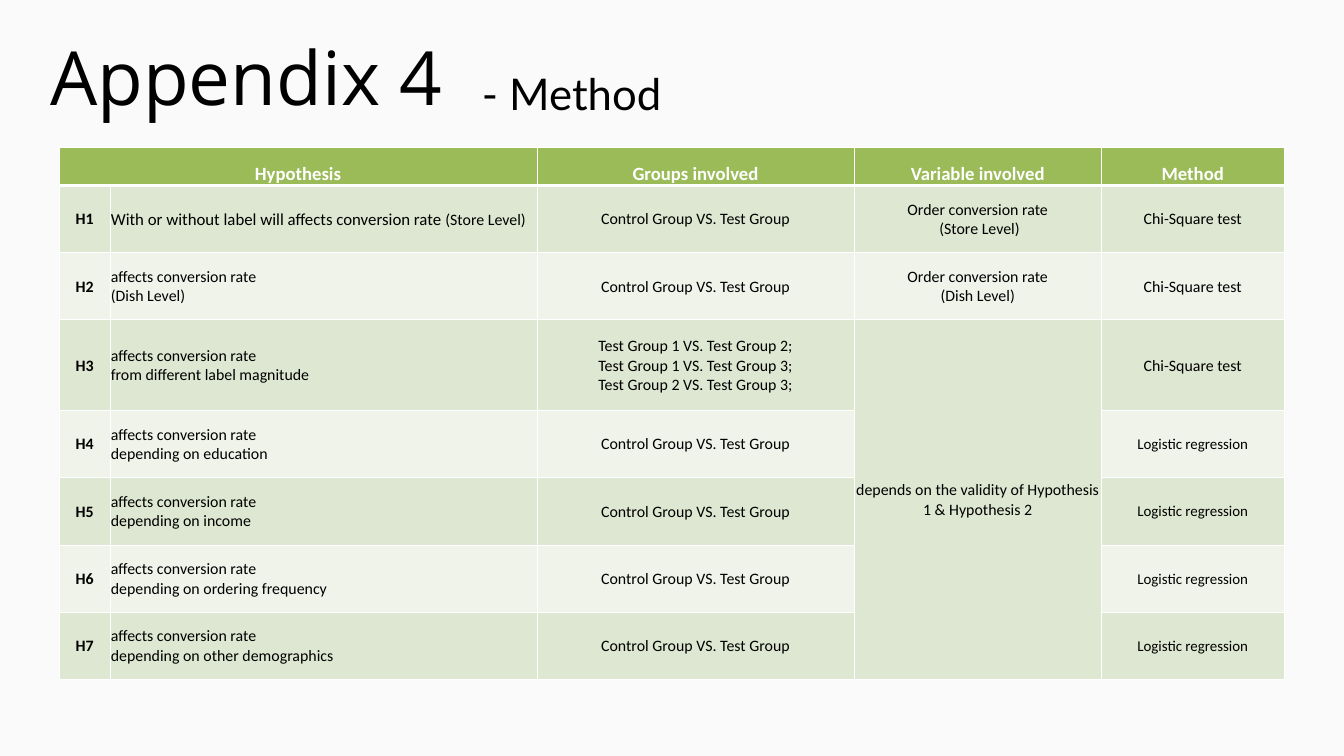
from typing import NamedTuple

from lxml import etree
from pptx import Presentation
from pptx.dml.color import RGBColor
from pptx.enum import text as t
from pptx.oxml import ns
from pptx.util import Inches, Pt

PAPER = RGBColor(0xFA, 0xFA, 0xFA)
BLACK = RGBColor(0, 0, 0)
WHITE = RGBColor(0xFF, 0xFF, 0xFF)
GREEN = RGBColor(0x9B, 0xBB, 0x59)
BANDS = (RGBColor(0xEF, 0xF3, 0xEA), RGBColor(0xDE, 0xE7, 0xD1))
LEFT, MID = t.PP_ALIGN.LEFT, t.PP_ALIGN.CENTER

WIDTHS = (0.76, 6.35, 4.72, 3.68, 2.72)
HEIGHTS = (0.56, 1, 1, 1.35, 1, 1, 1, 1)
HEADS = ("Hypothesis", "", "Groups involved", "Variable involved", "Method")


class Title(NamedTuple):
    text: str
    box: tuple[float, float, float, float]
    font: str
    size: float
    lead: float


class Claim(NamedTuple):
    """One hypothesis row; a line break starts a new paragraph."""
    claim: str
    method: str
    var: str = ""
    groups: str = "Control Group VS. Test Group"


CHI, LOGIT = "Chi-Square test", "Logistic regression"
RATE = "affects conversion rate\n"
TRIALS = "\n".join(f"Test Group {a} VS. Test Group {b};"
                   for a, b in ((1, 2), (1, 3), (2, 3)))

TITLES = (
    Title("Appendix 4", (0.75, 0.46, 17.58, 1.33), "Open Sans", 80, 96),
    Title("- Method", (7.17, 0.87, 6.24, 0.86), "Lato", 46.8, 65.5),
)
CLAIMS = (
    Claim("With or without label will affects conversion rate ", CHI,
          "Order conversion rate\n (Store Level)"),
    Claim(RATE + "(Dish Level)", CHI, "Order conversion rate\n(Dish Level)"),
    Claim(RATE + "from different label magnitude", CHI,
          "depends on the validity of Hypothesis 1 & Hypothesis 2", TRIALS),
    Claim(RATE + "depending on education", LOGIT),
    Claim(RATE + "depending on income", LOGIT),
    Claim(RATE + "depending on ordering frequency", LOGIT),
    Claim(RATE + "depending on other demographics", LOGIT),
)


def write(frame, text: str, *, size: float = 17, font: str = "Calibri",
          color: RGBColor = BLACK, bold: bool = False, align=LEFT,
          lead: float | None = None, more: bool = False) -> None:
    """Write one paragraph per line; more=True goes on in the last one."""
    for i, line in enumerate(text.split("\n")):
        if i:
            par = frame.add_paragraph()
        else:
            par = frame.paragraphs[-1 if more else 0]
        par.alignment = align
        if lead:
            par.line_spacing = Pt(lead)
        run = par.add_run()
        run.text = line
        run.font.size, run.font.name = Pt(size), font
        run.font.bold, run.font.color.rgb = bold, color


def add_title(slide, title: Title) -> None:
    box = slide.shapes.add_textbox(*map(Inches, title.box))
    frame = box.text_frame
    frame.word_wrap = True
    frame.margin_left = frame.margin_right = 0
    frame.margin_top = frame.margin_bottom = 0
    write(frame, title.text, size=title.size, font=title.font, lead=title.lead)


def add_edge(cell, side: str, width: float) -> None:
    props = cell._tc.get_or_add_tcPr()
    line = etree.SubElement(props, ns.qn(f"a:ln{side}"), w=str(Pt(width)))
    fill = etree.SubElement(line, ns.qn("a:solidFill"))
    etree.SubElement(fill, ns.qn("a:srgbClr"), val=str(WHITE))


def style_cell(cell, row: int) -> None:
    for side in "LRTB":
        thick = (row, side) in ((0, "B"), (1, "T"))
        add_edge(cell, side, 3 if thick else 1)
    cell.fill.solid()
    cell.fill.fore_color.rgb = BANDS[row % 2] if row else GREEN
    cell.margin_left = cell.margin_right = cell.margin_top = Inches(0.01)
    cell.margin_bottom = 0
    anchor = t.MSO_ANCHOR
    cell.vertical_anchor = anchor.MIDDLE if row else anchor.BOTTOM


def add_grid(slide) -> None:
    table = slide.shapes.add_table(
        len(HEIGHTS), len(WIDTHS), Inches(0.88), Inches(2.2),
        Inches(sum(WIDTHS)), Inches(sum(HEIGHTS))).table
    for col, width in zip(table.columns, WIDTHS):
        col.width = Inches(width)
    for i, height in enumerate(HEIGHTS):
        table.rows[i].height = Inches(height)
        for cell in table.rows[i].cells:
            style_cell(cell, i)
    table.cell(0, 0).merge(table.cell(0, 1))
    table.cell(3, 3).merge(table.cell(7, 3))

    for j, head in enumerate(HEADS):
        if head:
            write(table.cell(0, j).text_frame, head, size=20, color=WHITE,
                  bold=True, align=MID)
    for i, item in enumerate(CLAIMS, 1):
        tag, claim, groups, var, method = (
            cell.text_frame for cell in table.rows[i].cells)
        write(tag, f"H{i}", bold=True, align=MID)
        write(claim, item.claim, size=18 if i == 1 else 17)
        write(groups, item.groups, align=MID)
        if item.var:
            write(var, item.var, align=MID)
        write(method, item.method, size=16 if item.method == LOGIT else 17,
              align=MID)
    write(table.cell(1, 1).text_frame, "(Store Level)", more=True)


def main() -> None:
    deck = Presentation()
    deck.slide_width, deck.slide_height = Inches(20), Inches(11.25)
    slide = deck.slides.add_slide(deck.slide_layouts[6])
    slide.background.fill.solid()
    slide.background.fill.fore_color.rgb = PAPER
    for title in TITLES:
        add_title(slide, title)
    add_grid(slide)
    deck.save("out.pptx")


if __name__ == "__main__":
    main()
